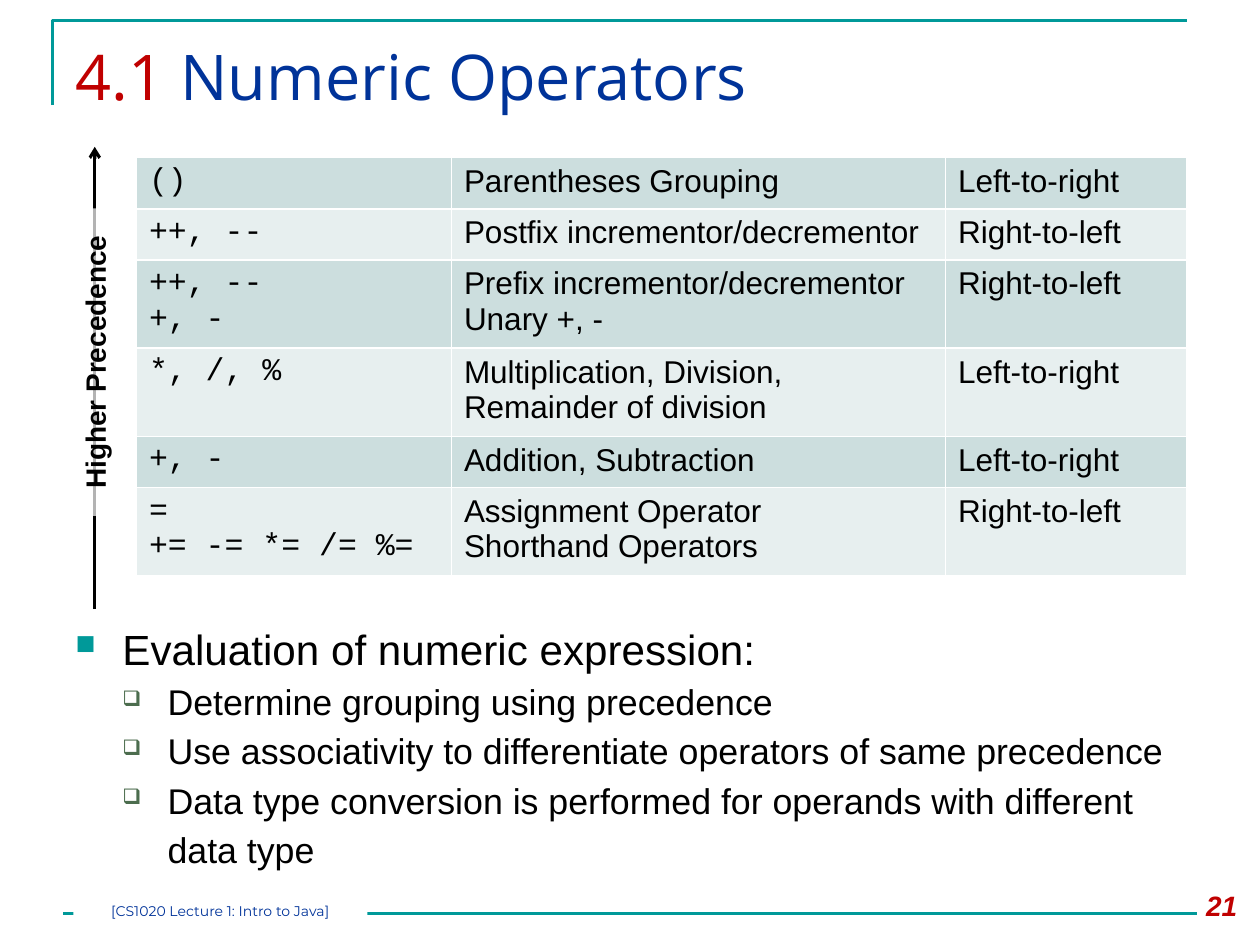
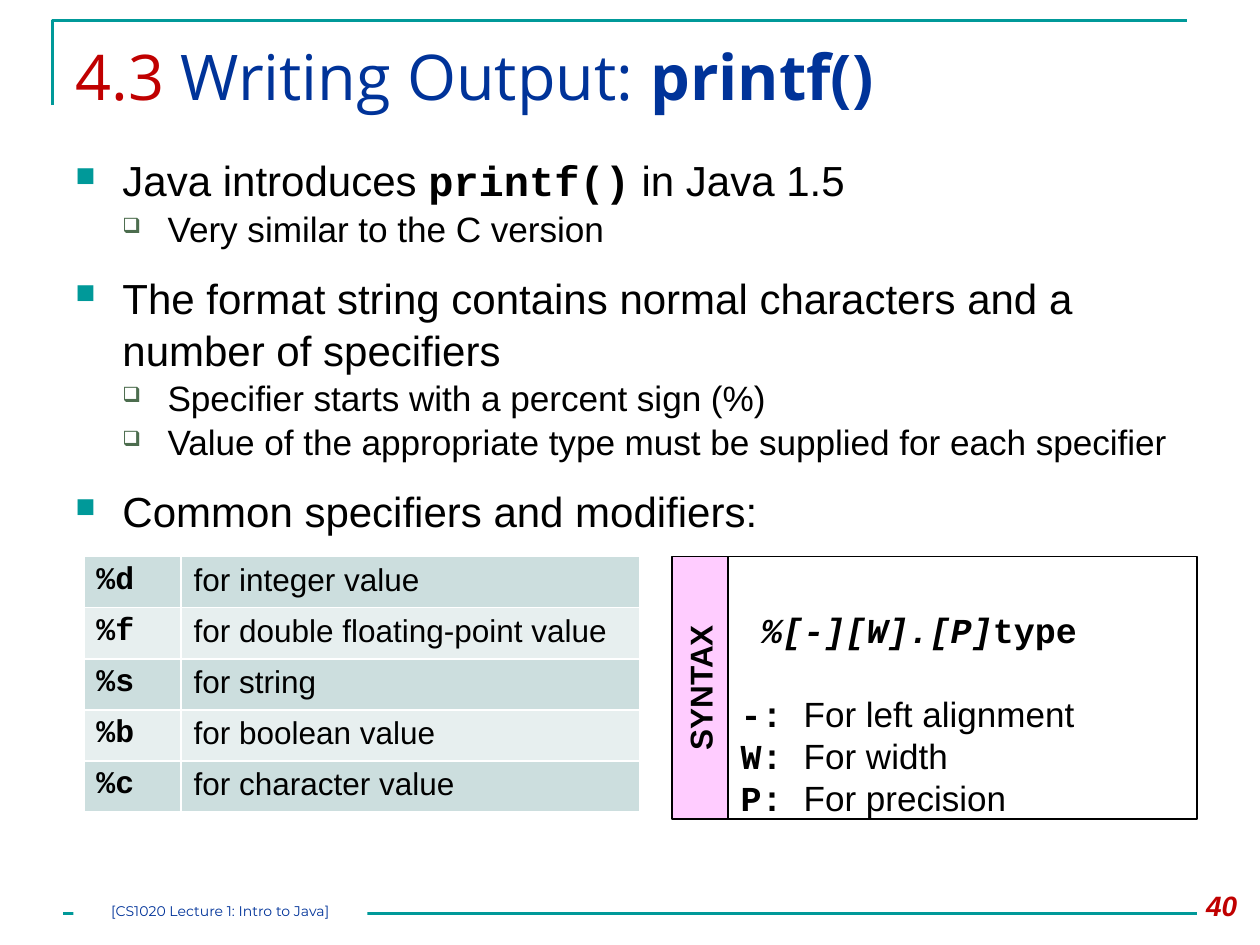
from pptx import Presentation
from pptx import util as u
from pptx.dml.color import RGBColor
from pptx.enum import shapes, text
from pptx.oxml import ns, xmlchemy

Cm, Pt = u.Cm, u.Pt

BLACK = RGBColor(0x00, 0x00, 0x00)
WHITE = RGBColor(0xFF, 0xFF, 0xFF)
TEAL = RGBColor(0x00, 0x99, 0x99)
GREEN = RGBColor(0x4C, 0x6D, 0x4E)
NAVY = RGBColor(0x00, 0x33, 0x99)
RED = RGBColor(0xC0, 0x00, 0x00)
PINK = RGBColor(0xFF, 0xCC, 0xFF)
ROW_FILLS = (RGBColor(0xCC, 0xDE, 0xDE), RGBColor(0xE7, 0xEF, 0xEF))

SANS, MONO = "Arial", "Courier New"
TITLE_FONT, FOOTER_FONT = "Open Sans", "Montserrat"
FOOTER = "[CS1020 Lecture 1: Intro to Java]"

MARGIN, CONTENT_WIDTH = 1.27, 22.86
ROW_HEIGHT = 1.03
# Per level: bullet, colour, size in percent, left margin and hanging indent
BULLETS = (("■", TEAL, 65, 0.95, 0.95), ("❑", GREEN, 60, 1.86, 0.91))

OPERATORS = [
    ("()", "Parentheses Grouping", "Left-to-right"),
    ("++, --", "Postfix incrementor/decrementor", "Right-to-left"),
    ("++, --\n+, -", "Prefix incrementor/decrementor\nUnary +, -", "Right-to-left"),
    ("*, /, %", "Multiplication, Division, Remainder of division", "Left-to-right"),
    ("+, -", "Addition, Subtraction", "Left-to-right"),
    ("=\n+= -= *= /= %=", "Assignment Operator\nShorthand Operators", "Right-to-left"),
]
EVALUATION = [
    (0, "Evaluation of numeric expression:", 0),
    (1, "Determine grouping using precedence", 0),
    (1, "Use associativity to differentiate operators of same precedence", 0),
    (1, "Data type conversion is performed for operands with different data type", 0),
]
PRINTF_POINTS = [
    (0, ["Java introduces ", ("printf()", {"font": MONO, "bold": True}), " in Java 1.5"], 0),
    (1, "Very similar to the C version", 0),
    (0, "The format string contains normal characters and a number of specifiers", 12),
    (1, "Specifier starts with a percent sign (%)", 0),
    (1, "Value of the appropriate type must be supplied for each specifier", 0),
    (0, "Common specifiers and modifiers:", 12),
]
SPECIFIERS = [
    ("%d", "for integer value"),
    ("%f", "for double floating-point value"),
    ("%s", "for string"),
    ("%b", "for boolean value"),
    ("%c", "for character value"),
]
MODIFIERS = [("-: ", "For left alignment"), ("W: ", "For width"), ("P: ", "For precision")]


def add_xml(parent, tag, **attributes):
    child = xmlchemy.OxmlElement(tag)
    for name, value in attributes.items():
        child.set(name, str(value))
    parent.append(child)
    return child


def write(frame, content, **options):
    """Add one paragraph; content is a string or a list of strings and (string, format) pairs."""
    first = frame.paragraphs[0]
    paragraph = frame.add_paragraph() if first.runs else first
    paragraph.alignment = options.get("align", text.PP_ALIGN.LEFT)
    paragraph.space_before = Pt(options.get("before", 0))
    paragraph.line_spacing = options.get("spacing", 1.0)
    for part in [content] if isinstance(content, str) else content:
        words, changes = (part, {}) if isinstance(part, str) else part
        style = {**options, **changes}
        run = paragraph.add_run()
        run.text = words
        run.font.name = style.get("font", SANS)
        run.font.size = Pt(style.get("size", 18))
        run.font.bold = style.get("bold", False)
        run.font.italic = style.get("italic", False)
        run.font.color.rgb = style.get("color", BLACK)
    return paragraph


def add_text_box(slide, left, top, width, height):
    frame = slide.shapes.add_textbox(Cm(left), Cm(top), Cm(width), Cm(height)).text_frame
    frame.word_wrap = True
    return frame


def add_box(slide, left, top, width, height, fill=None, outlined=False):
    box = slide.shapes.add_shape(
        shapes.MSO_SHAPE.RECTANGLE, Cm(left), Cm(top), Cm(width), Cm(height))
    box.shadow.inherit = False
    if fill is None:
        box.fill.background()
    else:
        box.fill.solid()
        box.fill.fore_color.rgb = fill
    if outlined:
        box.line.color.rgb = BLACK
        box.line.width = Pt(1)
    else:
        box.line.fill.background()
    box.text_frame.word_wrap = True
    return box


def add_line(slide, start, end, color, width):
    line = slide.shapes.add_connector(
        shapes.MSO_CONNECTOR.STRAIGHT, *(Cm(value) for value in start + end))
    line.line.color.rgb = color
    line.line.width = Pt(width)
    add_xml(line._element.spPr, "a:effectLst")
    return line


def add_frame(slide):
    """Draw the corner rule at the top and the rule above the footer."""
    left, top, right, bottom = 1.06, 0.42, 23.92, 2.12
    builder = slide.shapes.build_freeform(Cm(left), Cm(bottom))
    builder.add_line_segments([(Cm(left), Cm(top)), (Cm(right), Cm(top))], close=False)
    corner = builder.convert_to_shape()
    corner.shadow.inherit = False
    corner.fill.background()
    corner.line.color.rgb = TEAL
    corner.line.width = Pt(1.5)
    add_line(slide, (MARGIN, 18.42), (MARGIN + CONTENT_WIDTH, 18.42), TEAL, 1.5)


def add_footer(slide, number):
    write(add_text_box(slide, 23.5, 17.78, 1.69, 1.02), str(number), size=16,
          color=RED, bold=True, italic=True, align=text.PP_ALIGN.RIGHT)
    frame = add_box(slide, 1.48, 18.2, 5.93, 0.42, WHITE).text_frame
    frame.margin_left = frame.margin_right = frame.margin_top = frame.margin_bottom = 0
    frame.vertical_anchor = text.MSO_ANCHOR.TOP
    write(frame, FOOTER, font=FOOTER_FONT, size=8, color=NAVY, align=text.PP_ALIGN.CENTER)


def new_slide(presentation, section, title, number):
    slide = presentation.slides.add_slide(presentation.slide_layouts[6])
    add_frame(slide)
    frame = add_text_box(slide, MARGIN, 0.64, CONTENT_WIDTH, 2.18)
    write(frame, [(section, {"color": RED})] + title, font=TITLE_FONT, size=36, color=NAVY)
    add_footer(slide, number)
    return slide


def add_bullets(slide, top, height, points, sizes, spacing):
    frame = add_text_box(slide, MARGIN, top, CONTENT_WIDTH, height)
    for level, content, before in points:
        bullet, color, percent, margin, hanging = BULLETS[level]
        paragraph = write(frame, content, size=sizes[level], before=before, spacing=spacing)
        paragraph.level = level
        properties = paragraph._p.get_or_add_pPr()
        properties.set("marL", str(Cm(margin)))
        properties.set("indent", str(-Cm(hanging)))
        add_xml(add_xml(properties, "a:buClr"), "a:srgbClr", val=color)
        add_xml(properties, "a:buSzPct", val=percent * 1000)
        add_xml(properties, "a:buChar", char=bullet)


def add_banded_table(slide, left, top, widths, rows, bold_codes=False):
    """Add a table whose first column holds code."""
    table = slide.shapes.add_table(
        len(rows), len(widths), Cm(left), Cm(top),
        Cm(sum(widths)), Cm(ROW_HEIGHT * len(rows))).table
    table.first_row = table.horz_banding = False
    for column, width in zip(table.columns, widths):
        column.width = Cm(width)
    for row_index, row in enumerate(rows):
        table.rows[row_index].height = Cm(ROW_HEIGHT)
        for column_index, content in enumerate(row):
            cell = table.cell(row_index, column_index)
            is_code = column_index == 0
            for line in content.split("\n"):
                write(cell.text_frame, line, font=MONO if is_code else SANS,
                      bold=is_code and bold_codes)
            properties = cell._tc.get_or_add_tcPr()
            for side in "LRTB":
                border = add_xml(properties, f"a:ln{side}", w=Pt(1))
                add_xml(add_xml(border, "a:solidFill"), "a:srgbClr", val=WHITE)
            cell.fill.solid()
            cell.fill.fore_color.rgb = ROW_FILLS[row_index % 2]


def add_precedence_arrow(slide, x, top, bottom):
    arrow = add_line(slide, (x, bottom), (x, top), BLACK, 1.75)
    add_xml(arrow.line._get_or_add_ln(), "a:tailEnd", type="arrow")
    width, height = 6.2, 1.69
    middle = (top + bottom) / 2 - 0.32
    label = add_box(slide, x - width / 2, middle - height / 2, width, height, WHITE)
    label.rotation = 270
    fill_color = label._element.spPr.find(ns.qn("a:solidFill"))[0]
    add_xml(fill_color, "a:alpha", val=70000)
    label.text_frame.vertical_anchor = text.MSO_ANCHOR.MIDDLE
    write(label.text_frame, "Higher Precedence", size=16, bold=True,
          align=text.PP_ALIGN.CENTER)


def add_syntax_panel(slide, left, top, width, height):
    tab_width = 1.13
    tab = add_box(slide, left, top, tab_width, height, PINK, outlined=True).text_frame
    tab._txBody.bodyPr.set("vert", "vert270")
    tab.vertical_anchor = text.MSO_ANCHOR.MIDDLE
    write(tab, "SYNTAX", bold=True, align=text.PP_ALIGN.CENTER)

    frame = add_box(slide, left + tab_width, top, width - tab_width, height,
                    outlined=True).text_frame
    frame.vertical_anchor = text.MSO_ANCHOR.TOP
    frame.margin_top, frame.margin_bottom = Cm(1.05), 0
    pattern = write(frame, [("%[-][W].[P]", {"italic": True}), "type"],
                    font=MONO, size=20, bold=True)
    pattern._p.get_or_add_pPr().set("marL", str(Cm(0.42)))
    for index, (symbol, meaning) in enumerate(MODIFIERS):
        write(frame, [(symbol, {"font": MONO, "bold": True}), meaning],
              size=20, before=0 if index else 24)


def build_operators_slide(presentation):
    slide = new_slide(presentation, "4.1", [" Numeric Operators"], 21)
    add_banded_table(slide, 2.75, 3.18, (6.35, 9.96, 4.87), OPERATORS)
    add_precedence_arrow(slide, 1.91, 2.96, 12.28)
    add_bullets(slide, 12.28, 5.93, EVALUATION, sizes=(24.1, 20.4), spacing=1.15)


def build_printf_slide(presentation):
    title = [" Writing Output: ", ("printf()", {"bold": True})]
    slide = new_slide(presentation, "4.3", title, 40)
    add_bullets(slide, 2.96, 8.47, PRINTF_POINTS, sizes=(24, 20.1), spacing=1.04)
    add_banded_table(slide, 1.69, 11.22, (1.96, 9.25), SPECIFIERS, bold_codes=True)
    add_syntax_panel(slide, 13.55, 11.22, 10.58, 5.29)


def main():
    presentation = Presentation()
    presentation.slide_width, presentation.slide_height = Cm(25.4), Cm(19.05)
    build_operators_slide(presentation)
    build_printf_slide(presentation)
    presentation.save("out.pptx")


if __name__ == "__main__":
    main()
